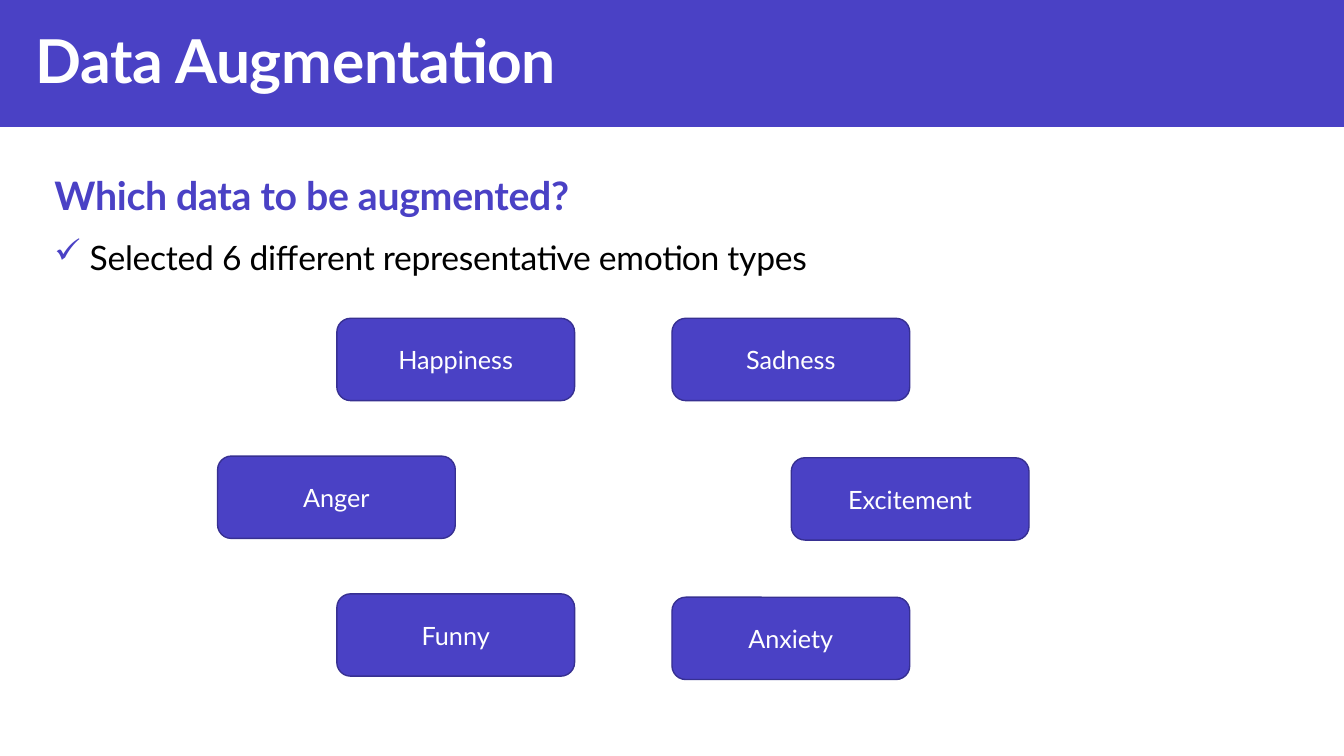
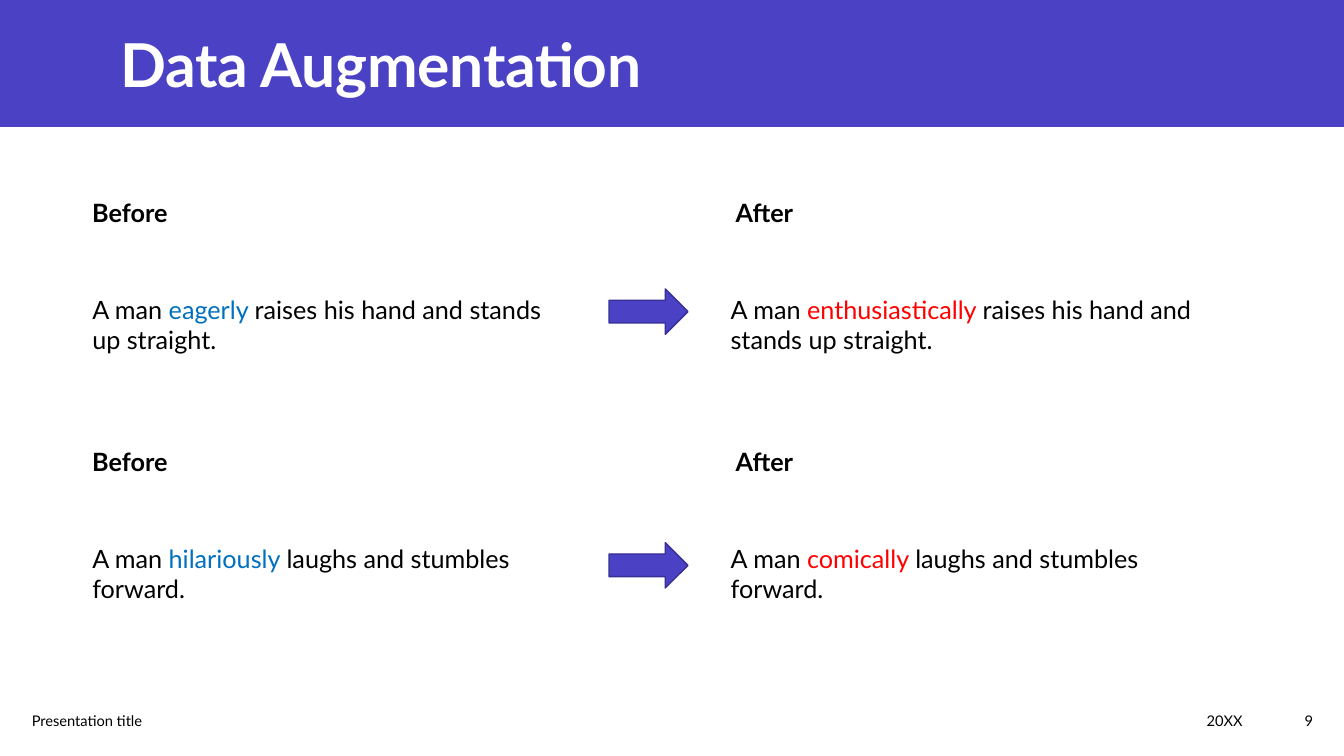
from dataclasses import dataclass

from lxml.etree import SubElement
from pptx import Presentation
from pptx.dml.color import RGBColor
from pptx.enum.shapes import MSO_SHAPE as Shape
from pptx.enum.text import MSO_ANCHOR as Anchor, PP_ALIGN as Align
from pptx.oxml.ns import qn
from pptx.util import Inches, Pt

WIDTH, HEIGHT = 13.33, 7.5
COLUMNS, ROWS = 16, 9


@dataclass(frozen=True)
class Theme:
    font: str = "Lato"
    accent: str = "4A41C5"
    outline: str = "373092"
    light: str = "FFFFFF"
    ink: str = "000000"
    before: str = "0070C0"
    after: str = "FF0000"
    title: float = 43.2
    heading: float = 28
    body: float = 24
    label: float = 18
    footer: float = 10.5
    tracking: int = -20


@dataclass(frozen=True)
class Box:
    left: float
    top: float
    width: float
    height: float

    def inner(self, left, top, width, height):
        return Box(self.left + left, self.top + top, width, height)

    def place(self):
        column, row = WIDTH / COLUMNS, HEIGHT / ROWS
        return (Inches(self.left * column), Inches(self.top * row),
                Inches(self.width * column), Inches(self.height * row))


THEME = Theme()
PAGE = Box(0, 0, COLUMNS, ROWS)


def colour(code):
    return RGBColor.from_string(code)


def write(para, spans, size, bold=False, align=Align.LEFT, tracking=0):
    para.alignment = align
    para.font.name = THEME.font
    para.font.size = Pt(size)
    para.font.bold = bold
    for text, code in spans:
        span = para.add_run()
        span.text = text
        span.font.color.rgb = colour(code)
        if tracking:
            span._r.get_or_add_rPr().set("spc", str(tracking))


def add_frame(page, box, anchor=Anchor.TOP):
    frame = page.shapes.add_textbox(*box.place()).text_frame
    frame.word_wrap = True
    frame.vertical_anchor = anchor
    return frame


def add_text(page, box, spans, size, anchor=Anchor.TOP, **style):
    write(add_frame(page, box, anchor).paragraphs[0], spans, size, **style)


def add_solid(page, kind, box, outlined=True):
    shape = page.shapes.add_shape(kind, *box.place())
    shape.shadow.inherit = False
    shape.fill.solid()
    shape.fill.fore_color.rgb = colour(THEME.accent)
    if outlined:
        shape.line.color.rgb = colour(THEME.outline)
        shape.line.width = Pt(1)
    else:
        shape.line.fill.background()
    return shape


def add_check(para, indent):
    props = para._p.get_or_add_pPr()
    props.set("marL", str(Inches(indent)))
    props.set("indent", str(-Inches(indent)))
    tint = SubElement(props, qn("a:buClr"))
    SubElement(tint, qn("a:srgbClr")).set("val", THEME.accent)
    SubElement(props, qn("a:buChar")).set("char", "✓")


def title_band(page, box, title, left, top):
    add_solid(page, Shape.RECTANGLE, box, outlined=False)
    add_text(page, box.inner(left, top, 12.36, 1.01), [(title, THEME.light)],
             THEME.title, Anchor.MIDDLE, bold=True, tracking=THEME.tracking)


def question(page, box, heading, answer):
    frame = add_frame(page, box)
    first, second = frame.paragraphs[0], frame.add_paragraph()
    add_check(second, 0.35)
    second.space_before = Pt(10)
    for para in (first, second):
        para.line_spacing = 1.1
    write(first, [(heading, THEME.accent)], THEME.heading, bold=True,
          tracking=THEME.tracking)
    write(second, [(answer, THEME.ink)], THEME.body, tracking=THEME.tracking)


def emotion_ring(page, box, left_side, right_side):
    width, height, inset = 2.83, 0.98, 1.42
    far = box.width - width
    sides = ((left_side, (inset, 0, inset), 1.64),
             (right_side, (far - inset, far, far - inset), 1.66))
    for names, lefts, pitch in sides:
        for row, (name, left) in enumerate(zip(names, lefts)):
            card = add_solid(page, Shape.ROUNDED_RECTANGLE,
                             box.inner(left, row * pitch, width, height))
            card.text_frame.vertical_anchor = Anchor.MIDDLE
            write(card.text_frame.paragraphs[0], [(name, THEME.light)],
                  THEME.label, align=Align.CENTER)


def comparison(page, box, old, new, rest, arrow_top):
    sides = (("Before", old, THEME.before, 0, 0),
             ("After", new, THEME.after, 7.66, 7.6))
    for heading, word, tint, heading_left, sentence_left in sides:
        add_text(page, box.inner(heading_left, 0, 4.25, 0.48),
                 [(heading, THEME.ink)], THEME.label, bold=True)
        add_text(page, box.inner(sentence_left, 1.15, 5.9, 0.85),
                 [("A man ", THEME.ink), (word + " ", tint), (rest, THEME.ink)],
                 THEME.label)
    add_solid(page, Shape.RIGHT_ARROW, box.inner(6.27, arrow_top, 0.94, 0.54))


def footer(page, box, title, date, number):
    items = ((title, 0.26, 6.35, Align.LEFT),
             (date, 9.2, 5.71, Align.RIGHT),
             (number, 14.92, 0.83, Align.RIGHT))
    for text, left, width, align in items:
        add_text(page, box.inner(left, 0, width, box.height),
                 [(text, THEME.ink)], THEME.footer, Anchor.MIDDLE, align=align)


def new_page(deck, title_left, title_top):
    page = deck.slides.add_slide(deck.slide_layouts[6])
    title_band(page, PAGE.inner(0, 0, COLUMNS, 1.51), "Data Augmentation",
               title_left, title_top)
    return page


def emotions_page(deck):
    page = new_page(deck, 0.3, 0.2)
    question(page, PAGE.inner(0.53, 1.93, 13.48, 2.48),
             "Which data to be augmented?",
             "Selected 6 different representative emotion types")
    emotion_ring(page, PAGE.inner(2.59, 3.79, 9.66, 4.3),
                 ("Happiness", "Anger", "Funny"),
                 ("Sadness", "Excitement", "Anxiety"))


def examples_page(deck):
    page = new_page(deck, 1.32, 0.25)
    examples = (
        ("eagerly", "enthusiastically",
         "raises his hand and stands up straight.", 1.15),
        ("hilariously", "comically", "laughs and stumbles forward.", 1.2),
    )
    for row, example in enumerate(examples):
        comparison(page, PAGE.inner(0.98, 2.29 + row * 2.97, 13.5, 2), *example)
    footer(page, PAGE.inner(0, 8.34, COLUMNS, 0.48),
           "Presentation title", "20XX", "9")


def main():
    deck = Presentation()
    deck.slide_width, deck.slide_height = Inches(WIDTH), Inches(HEIGHT)
    emotions_page(deck)
    examples_page(deck)
    deck.save("out.pptx")


if __name__ == "__main__":
    main()
